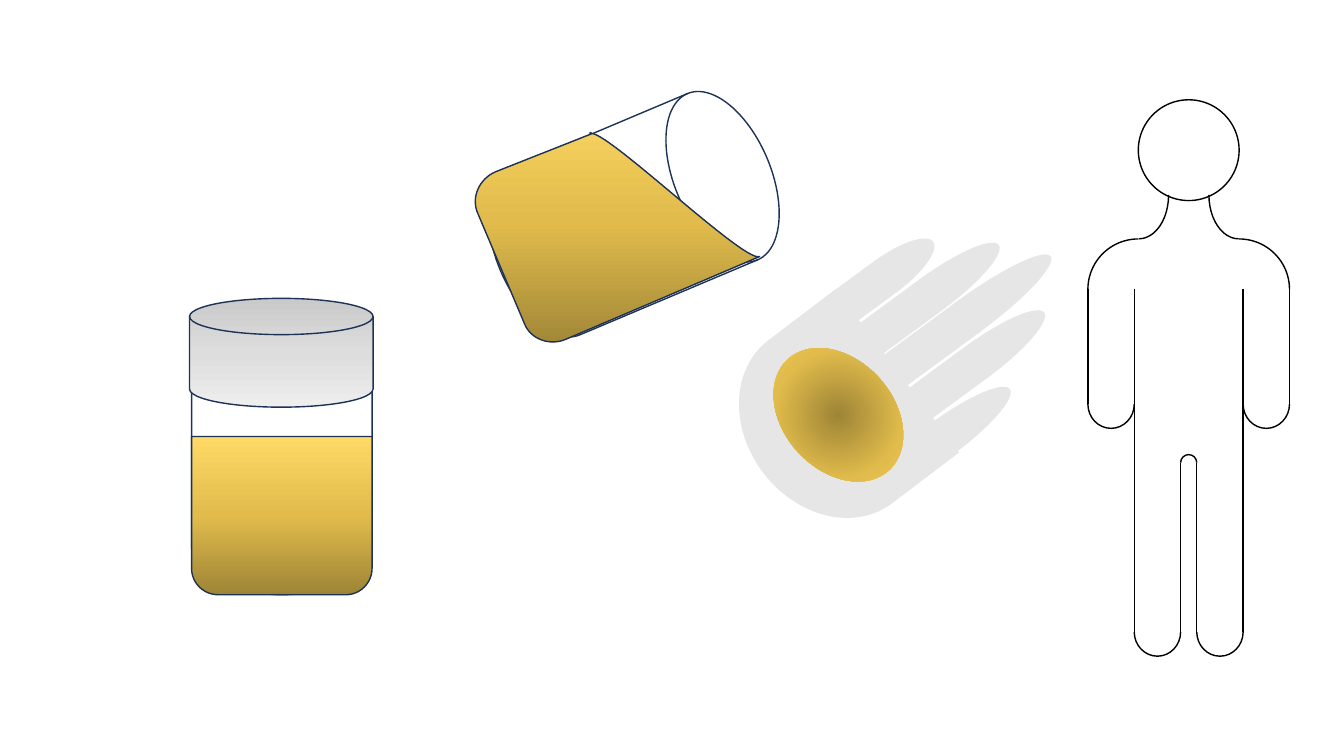
import math
import pptx
import pptx.dml.color
import pptx.enum.shapes
import pptx.oxml
import pptx.oxml.ns
import pptx.util

Inches, Pt = pptx.util.Inches, pptx.util.Pt
Kind = pptx.enum.shapes.MSO_SHAPE
NAVY, BLACK, WHITE, SKIN = "1E3256", "000000", "FFFFFF", "E7E6E6"
GOLD = ["9E8436", "E1BC4C", "FFD966"]
GREY = ["CACACA", "DDDDDD", "EEEEEE"]

# Jar and cup: left, top, width, height
JAR, JUICE, LID = (1.9, 3.03, 1.79, 2.87), (1.9, 4.33, 1.79, 1.57), (1.88, 2.96, 1.82, 1.08)
CUP, TILT = (5.39, 0.69, 1.79, 2.87), 67.1
# Liquid in the cup as it lies on the slide: one point makes a line, three a curve
POUR_MID = (6.07, 2.2)
POUR = [
    [(5.19, 3.23)], [(4.72, 2.12)],
    [(4.66, 1.97), (4.74, 1.79), (4.9, 1.72)],
    [(5.86, 1.34)], [(5.84, 1.33)], [(5.84, 1.34)],
    [(5.98, 1.28), (7.37, 2.63), (7.52, 2.56)],
    [(7.03, 2.77), (6.09, 3.17), (5.6, 3.38)],
    [(5.44, 3.45), (5.25, 3.38), (5.19, 3.23)],
]
# Hand: left, top, length of each finger
FINGERS = [(8.38, 2.74, 1.69), (8.57, 2.96, 2.05), (8.83, 3.41, 1.69),
           (8.49, 4.17, 1.69), (8.18, 2.56, 1.19)]
PALM, POOL = (7.4, 3.17, 1.67, 2.03), (7.77, 3.37, 1.09, 1.49)
# Person: the left half, mirrored about MID
MID = 11.79
HEAD = (11.29, 0.99, 1, 1)
ARCS = [((10.86, 1.64, 0.87, 0.59), 90), ((10.79, 2.37, 1, 1), 270)]  # neck, shoulder
LIMBS = [(10.79, 2.87, 4.01), (11.25, 2.87, 4.01), (11.71, 4.59, 6.27), (11.25, 4.01, 6.27)]
ENDS = [(11.02, 4.01), (11.48, 6.27)]  # hand, foot

deck = pptx.Presentation()
deck.slide_width, deck.slide_height = Inches(13.33), Inches(7.5)
slide = deck.slides.add_slide(deck.slide_layouts[6])
qn = pptx.oxml.ns.qn
SPACE = pptx.oxml.ns.nsdecls("a")


def rgb(code):
    return pptx.dml.color.RGBColor.from_string(code)


def blend(shape, tones, round_=False):
    """Fill with evenly spaced tones, down the shape or out from its centre."""
    shape.fill.gradient()
    grad = shape._element.spPr.find(qn("a:gradFill"))
    stops = "".join(
        f'<a:gs pos="{100000 * i // (len(tones) - 1)}"><a:srgbClr val="{tone}"/></a:gs>'
        for i, tone in enumerate(tones))
    way = ('<a:path path="circle"><a:fillToRect l="50000" t="50000" r="50000" b="50000"/></a:path>'
           if round_ else '<a:lin ang="5400000" scaled="0"/>')
    grad.getparent().replace(grad, pptx.oxml.parse_xml(
        f'<a:gradFill {SPACE} rotWithShape="1"><a:gsLst>{stops}</a:gsLst>{way}</a:gradFill>'))


def paint(shape, fill=None, line=None, round_=False):
    shape.shadow.inherit = False
    if fill is None:
        shape.fill.background()
    elif isinstance(fill, list):
        blend(shape, fill, round_)
    else:
        shape.fill.solid()
        shape.fill.fore_color.rgb = rgb(fill)
    if line:
        shape.line.color.rgb = rgb(line)
        shape.line.width = Pt(1)
    else:
        shape.line.fill.background()


def place(group, kind, box, turn=0, flip=False, **look):
    shape = group.shapes.add_shape(kind, *map(Inches, box))
    shape.rotation = turn
    if flip:
        shape._element.spPr.xfrm.set("flipH", "1")
    paint(shape, **look)


def trace(group, steps, turn=0, close=False, **look):
    """Draw steps of one point as lines and steps of three as curves."""
    spots = [(Inches(x), Inches(y)) for step in steps for x, y in step]
    pen = group.shapes.build_freeform(*spots[0])
    pen.add_line_segments(spots[1:], close=close)
    shape = pen.convert_to_shape()
    lines = list(shape._element.iter(qn("a:lnTo")))
    for step in steps[1:]:
        used, lines = lines[:len(step)], lines[len(step):]
        if len(step) == 3:
            bend = pptx.oxml.parse_xml(f"<a:cubicBezTo {SPACE}/>")
            used[0].addprevious(bend)
            for item in used:
                bend.append(item[0])
                item.getparent().remove(item)
    shape.rotation = turn
    paint(shape, **look)


def cap(group, x, y, wide, high):
    """Half an ellipse about x, y; a negative height points up."""
    bow = 0.55
    trace(group, [
        [(x - wide, y)],
        [(x - wide, y + bow * high), (x - bow * wide, y + high), (x, y + high)],
        [(x + bow * wide, y + high), (x + wide, y + bow * high), (x + wide, y)],
    ], fill=WHITE, line=BLACK)


def spin(point, mid, angle):
    """Turn a point clockwise about mid."""
    turn = math.radians(angle)
    x, y = point[0] - mid[0], point[1] - mid[1]
    return (mid[0] + x * math.cos(turn) - y * math.sin(turn),
            mid[1] + x * math.sin(turn) + y * math.cos(turn))


def limb(group, x, top, end):
    rule = group.shapes.add_connector(
        pptx.enum.shapes.MSO_CONNECTOR.STRAIGHT, *map(Inches, (x, top, x, end)))
    rule.line.color.rgb = rgb(BLACK)
    rule.line.width = Pt(1)
    rule._element.spPr.append(pptx.oxml.parse_xml(f"<a:effectLst {SPACE}/>"))


# Closed jar
jar = slide.shapes.add_group_shape()
place(jar, Kind.FLOWCHART_MAGNETIC_DISK, JAR, line=NAVY)
place(jar, Kind.ROUND_2_SAME_RECTANGLE, JUICE, turn=180, fill=GOLD, line=NAVY)
place(jar, Kind.FLOWCHART_MAGNETIC_DISK, LID, fill=GREY, line=NAVY)

# Cup, drawn upright and tilted as a group; its liquid is upside down
cup = slide.shapes.add_group_shape()
place(cup, Kind.FLOWCHART_MAGNETIC_DISK, CUP, line=NAVY)
hub = (CUP[0] + CUP[2] / 2, CUP[1] + CUP[3] / 2)
base = spin(POUR_MID, hub, -TILT)
juice = [[spin(spin(point, hub, -TILT), base, 180) for point in step] for step in POUR]
trace(cup, juice, turn=180, close=True, fill=GOLD, line=NAVY)
cup.rotation = TILT

# Cupped hand
hand = slide.shapes.add_group_shape()
for left, top, length in FINGERS:
    place(hand, Kind.FLOWCHART_DELAY, (left, top, length, 0.38), turn=323.7, fill=SKIN)
place(hand, Kind.FLOWCHART_DELAY, PALM, turn=322.8, flip=True, fill=SKIN)
place(slide, Kind.OVAL, POOL, turn=317.8, fill=GOLD, round_=True)

# Person, one side at a time
body = slide.shapes.add_group_shape()
place(body, Kind.OVAL, HEAD, fill=WHITE, line=BLACK)
for right in (False, True):
    def side(x):
        return 2 * MID - x if right else x

    for (left, top, wide, high), turn in ARCS:
        near = side(left + wide) if right else left
        place(body, Kind.ARC, (near, top, wide, high), line=BLACK,
              turn=360 - turn if right else turn, flip=right)
    for x, y in ENDS:
        cap(body, side(x), y, 0.23, 0.24)
    for x, top, end in LIMBS:
        limb(body, side(x), top, end)
cap(body, MID, 4.59, 0.08, -0.08)

deck.save("out.pptx")
